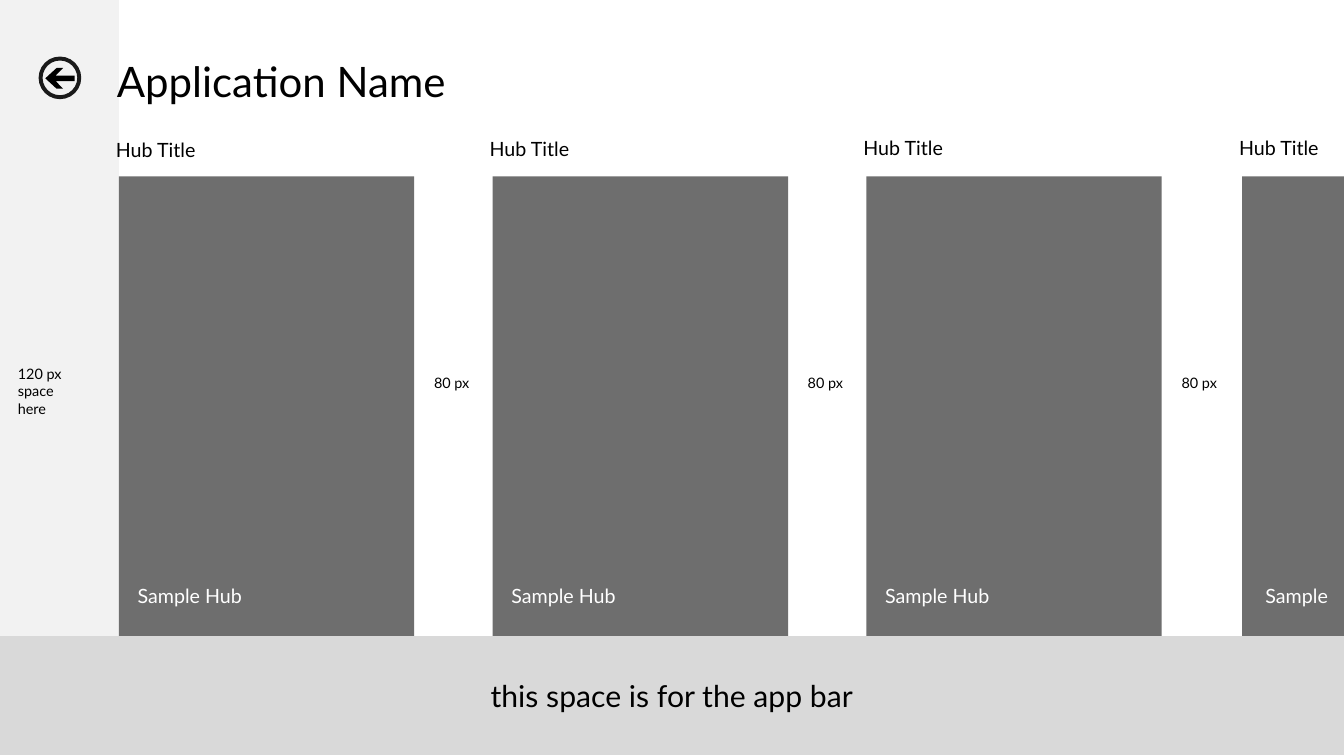
from dataclasses import dataclass

from pptx import Presentation
from pptx import util as u
from pptx.dml.color import RGBColor
from pptx.enum import shapes, text
from pptx.shapes.autoshape import Shape
from pptx.shapes.shapetree import GroupShapes, SlideShapes

Canvas = SlideShapes | GroupShapes

BLACK = RGBColor(0x00, 0x00, 0x00)
WHITE = RGBColor(0xFF, 0xFF, 0xFF)
RING = RGBColor(0x1A, 0x1A, 0x1A)
MARGIN_GREY = RGBColor(0xF2, 0xF2, 0xF2)
HUB_GREY = RGBColor(0x6E, 0x6E, 0x6E)
BAR_GREY = RGBColor(0xD9, 0xD9, 0xD9)
FONT = "Lato"

# Grid, in inches
SLIDE_WIDTH, SLIDE_HEIGHT = 14.24, 8.0
MARGIN = 1.26
HUB_WIDTH = 3.13
GAP = 0.83
PITCH = HUB_WIDTH + GAP
HUB_TOP = 1.87
BAR_TOP = SLIDE_HEIGHT - MARGIN
LABEL_TOP = 6.14
LINE_HEIGHT = 0.35

# Arrow outline, in hundredths of an inch
ARROW = [(59, 86), (67, 94), (60, 94), (48, 83), (60, 72),
         (67, 72), (59, 80), (79, 80), (79, 86)]


@dataclass(frozen=True)
class Box:
    left: float
    top: float
    width: float
    height: float

    def lengths(self) -> list[u.Length]:
        return [u.Inches(n) for n in (self.left, self.top, self.width, self.height)]


@dataclass(frozen=True)
class Hub:
    column: int
    title_top: float
    label: str = "Sample Hub"
    label_inset: float = 0.10
    label_width: float = 2.42
    nudge: float = 0.0

    @property
    def left(self) -> float:
        return MARGIN + self.column * PITCH + self.nudge

    @property
    def width(self) -> float:
        """Full hub width, cut off at the slide's right edge."""
        return min(HUB_WIDTH, SLIDE_WIDTH - self.left)


HUBS = [
    Hub(0, 1.41),
    Hub(1, 1.40),
    Hub(2, 1.39),
    Hub(3, 1.39, "Sample", 0.15, 0.93, 0.02),
]


def write(shape: Shape, words: str, size: float, color: RGBColor) -> None:
    frame = shape.text_frame
    frame.word_wrap = True
    frame.text = words
    font = frame.paragraphs[0].runs[0].font
    font.name, font.size = FONT, u.Pt(size)
    font.color.rgb = color


def add_text(canvas: Canvas, box: Box, words: str, size: float,
             color: RGBColor = BLACK) -> None:
    shape = canvas.add_textbox(*box.lengths())
    write(shape, words, size, color)
    shape.text_frame.auto_size = text.MSO_AUTO_SIZE.SHAPE_TO_FIT_TEXT


def paint(shape: Shape, color: RGBColor) -> None:
    shape.shadow.inherit = False
    shape.fill.solid()
    shape.fill.fore_color.rgb = color
    shape.line.fill.background()


def add_panel(canvas: Canvas, box: Box, color: RGBColor) -> Shape:
    shape = canvas.add_shape(shapes.MSO_SHAPE.RECTANGLE, *box.lengths())
    paint(shape, color)
    return shape


def add_back_button(canvas: Canvas) -> None:
    group = canvas.add_group_shape().shapes
    ring = group.add_shape(shapes.MSO_SHAPE.OVAL, *Box(0.43, 0.62, 0.41, 0.41).lengths())
    ring.shadow.inherit = False
    ring.fill.background()
    ring.line.color.rgb = RING
    ring.line.width = u.Pt(3)
    builder = group.build_freeform(*ARROW[0], scale=u.Inches(0.01))
    builder.add_line_segments(ARROW[1:], close=True)
    paint(builder.convert_to_shape(), BLACK)


def add_hub(canvas: Canvas, hub: Hub) -> None:
    group = canvas.add_group_shape().shapes
    add_panel(group, Box(hub.left, HUB_TOP, hub.width, BAR_TOP - HUB_TOP), HUB_GREY)
    label = Box(hub.left + hub.label_inset, LABEL_TOP, hub.label_width, LINE_HEIGHT)
    add_text(group, label, hub.label, 15, WHITE)
    title_left = hub.left - 0.13
    title_width = min(1.43, SLIDE_WIDTH - title_left)
    add_text(canvas, Box(title_left, hub.title_top, title_width, LINE_HEIGHT),
             "Hub Title", 15)


def add_app_bar(canvas: Canvas) -> None:
    bar = add_panel(canvas, Box(0, BAR_TOP, SLIDE_WIDTH, MARGIN), BAR_GREY)
    write(bar, "this space is for the app bar", 23, BLACK)
    bar.text_frame.vertical_anchor = text.MSO_ANCHOR.MIDDLE
    bar.text_frame.paragraphs[0].alignment = text.PP_ALIGN.CENTER


def main() -> None:
    presentation = Presentation()
    presentation.slide_width = u.Inches(SLIDE_WIDTH)
    presentation.slide_height = u.Inches(SLIDE_HEIGHT)
    slide = presentation.slides.add_slide(presentation.slide_layouts[6])
    canvas = slide.shapes

    add_panel(canvas, Box(0, 0, MARGIN, BAR_TOP), MARGIN_GREY)
    add_back_button(canvas)
    add_text(canvas, Box(1.14, 0.54, 4.84, 0.64), "Application Name", 32)
    add_text(canvas, Box(0.09, 3.82, 0.91, 0.47), "120 px space here", 11)
    for hub in HUBS:
        add_hub(canvas, hub)
    for hub in HUBS[:-1]:
        gap_left = hub.left + HUB_WIDTH
        add_text(canvas, Box(gap_left + 0.11, 3.91, 0.69, 0.29), "80 px", 11)
    add_app_bar(canvas)

    presentation.save("out.pptx")


if __name__ == "__main__":
    main()
